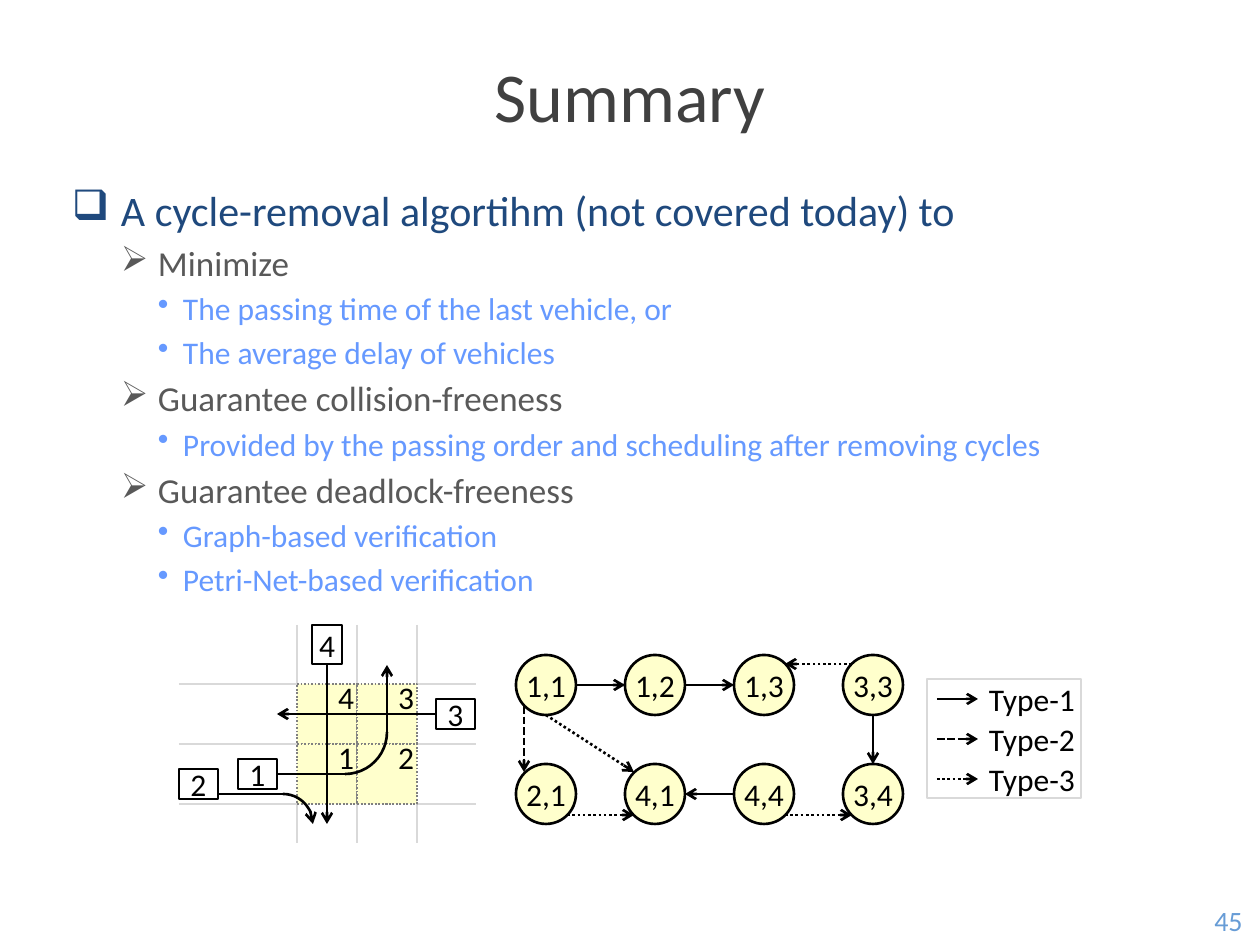
from pptx import Presentation
from pptx.dml.color import RGBColor
from pptx.enum.dml import MSO_LINE
from pptx.enum.shapes import MSO_CONNECTOR, MSO_SHAPE
from pptx.enum.text import MSO_ANCHOR, PP_ALIGN
from pptx.oxml.ns import qn
from pptx.util import Emu, Pt
from lxml import etree

SCALE = 914400 / 126
FONT = "Calibri"
RECTANGLE, OVAL, ARC = MSO_SHAPE.RECTANGLE, MSO_SHAPE.OVAL, MSO_SHAPE.ARC
STRAIGHT = MSO_CONNECTOR.STRAIGHT
LEFT, CENTER, RIGHT = PP_ALIGN.LEFT, PP_ALIGN.CENTER, PP_ALIGN.RIGHT
TOP, MIDDLE = MSO_ANCHOR.TOP, MSO_ANCHOR.MIDDLE
SOLID, DASHED, DOTTED = MSO_LINE.SOLID, MSO_LINE.SQUARE_DOT, MSO_LINE.ROUND_DOT
BOTTOM_SIDE, LEFT_SIDE, RIGHT_SIDE = 2, 1, 3

COLORS = {
    "title": "404040", "navy": "1F497D", "gray": "595959", "blue": "6699FF",
    "number": "679CD6", "black": "000000", "white": "FFFFFF",
    "yellow": "FFFFCC", "road": "D9D9D9", "cell_edge": "808080",
}
LEVELS = [
    {"bullet": "❑", "size": 24, "color": "navy", "margin": 49, "hanging": 49},
    {"bullet": "➢", "size": 20, "color": "gray", "margin": 86, "hanging": 37},
    {"bullet": "•", "size": 18, "color": "blue", "margin": 111, "hanging": 25},
]
OUTLINE = [
    (0, "A cycle-removal algortihm (not covered today) to"),
    (1, "Minimize"),
    (2, "The passing time of the last vehicle, or"),
    (2, "The average delay of vehicles"),
    (1, "Guarantee collision-freeness"),
    (2, "Provided by the passing order and scheduling after removing cycles"),
    (1, "Guarantee deadlock-freeness"),
    (2, "Graph-based verification"),
    (2, "Petri-Net-based verification"),
]
CELL = 60
COLUMNS, ROWS = [297, 357, 417], [684, 744, 804]
VEHICLES = {
    "1": (238, 759, 39, 30), "2": (179, 769, 39, 30),
    "3": (436, 699, 39, 30), "4": (312, 625, 30, 39),
}
NODE_ROWS = [(655, ["1,1", "1,2", "1,3", "3,3"]), (764, ["2,1", "4,1", "4,4", "3,4"])]
EDGES = [
    ((576, 685), (625, 685), SOLID), ((685, 685), (734, 685), SOLID),
    ((873, 715), (873, 764), SOLID), ((734, 794), (685, 794), SOLID),
    ((524, 706), (524, 772), DASHED), ((546, 715), (634, 772), DOTTED),
    ((852, 664), (785, 664), DOTTED), ((785, 815), (852, 815), DOTTED),
    ((567, 815), (634, 815), DOTTED),
]


def px(length):
    """Turn a length in px into EMU."""
    return Emu(round(length * SCALE))


def rgb(name):
    """Look up a colour by name."""
    return RGBColor.from_string(COLORS[name])


def add_text(paragraph, text, size=18, color="black", align=CENTER):
    """Write one formatted run into a paragraph."""
    paragraph.alignment = align
    run = paragraph.add_run()
    run.text = text
    run.font.name, run.font.size = FONT, Pt(size)
    run.font.color.rgb = rgb(color)


def set_frame(frame, insets=(0, 0, 0, 0), anchor=MIDDLE, wrap=False):
    """Set the insets, anchor and wrapping of a text frame."""
    frame.margin_left, frame.margin_top, frame.margin_right, frame.margin_bottom = map(px, insets)
    frame.vertical_anchor, frame.word_wrap = anchor, wrap


def style_line(shape, color="black", width=1.5, dash=SOLID, arrow=False):
    """Format an outline, with an optional arrowhead at its end."""
    shape.line.color.rgb = rgb(color)
    shape.line.width = Pt(width)
    if dash != SOLID:
        shape.line.dash_style = dash
    if arrow:
        outline = shape._element.spPr.find(qn("a:ln"))
        etree.SubElement(outline, qn("a:tailEnd"), type="arrow")


def add_box(shapes, kind, box, fill=None, **line):
    """Add a preset shape with its fill and outline."""
    shape = shapes.add_shape(kind, *map(px, box))
    shape.shadow.inherit = False
    if fill:
        shape.fill.solid()
        shape.fill.fore_color.rgb = rgb(fill)
    else:
        shape.fill.background()
    style_line(shape, **line)
    return shape


def add_labelled_box(shapes, kind, box, text, fill):
    """Add a shape with a centred label."""
    shape = add_box(shapes, kind, box, fill)
    set_frame(shape.text_frame)
    add_text(shape.text_frame.paragraphs[0], text)
    return shape


def add_label(shapes, box, text, **text_format):
    """Add a one-line text box."""
    frame = shapes.add_textbox(*map(px, box)).text_frame
    set_frame(frame)
    add_text(frame.paragraphs[0], text, **text_format)


def add_line(shapes, start, end, **line):
    """Add a straight connector between two points."""
    connector = shapes.add_connector(STRAIGHT, *map(px, (*start, *end)))
    style_line(connector, **line)
    etree.SubElement(connector._element.spPr, qn("a:effectLst"))
    return connector


def add_arc(shapes, box, start_angle, end_angle, **line):
    """Add an arc between two angles in degrees."""
    arc = add_box(shapes, ARC, box, **line)
    arc.adjustments[0], arc.adjustments[1] = start_angle * 0.6, end_angle * 0.6


def add_title(slide, text):
    """Place and fill the title placeholder."""
    title = slide.shapes.title
    title.left, title.top, title.width, title.height = map(px, (59, 35, 1142, 118))
    title.text_frame.vertical_anchor = MIDDLE
    add_text(title.text_frame.paragraphs[0], text, size=40, color="title")


def add_outline(slide):
    """Add the bulleted outline."""
    frame = slide.shapes.add_textbox(*map(px, (59, 179, 1142, 714))).text_frame
    set_frame(frame, (13, 6, 13, 6), TOP, True)
    for index, (depth, text) in enumerate(OUTLINE):
        level = LEVELS[depth]
        paragraph = frame.add_paragraph() if index else frame.paragraphs[0]
        paragraph.level = depth
        paragraph.space_before = Pt(level["size"] * 0.18)
        add_text(paragraph, text, level["size"], level["color"], LEFT)
        properties = paragraph._p.get_or_add_pPr()
        properties.set("marL", str(px(level["margin"])))
        properties.set("indent", str(px(-level["hanging"])))
        etree.SubElement(properties, qn("a:buChar"), char=level["bullet"])


def add_intersection(slide):
    """Draw the road grid, the vehicles and their routes."""
    vehicles = {name: add_labelled_box(slide.shapes, RECTANGLE, box, name, "white")
                for name, box in VEHICLES.items()}
    shapes = slide.shapes.add_group_shape().shapes
    for x, y in zip(COLUMNS, ROWS):
        for start, end in ((625, ROWS[0]), (ROWS[-1], 843)):
            add_line(shapes, (x, start), (x, end), color="road")
        for start, end in ((179, COLUMNS[0]), (COLUMNS[-1], 476)):
            add_line(shapes, (start, y), (end, y), color="road")
    for y, names in zip(ROWS, ("43", "12")):
        for x, name in zip(COLUMNS, names):
            cell = add_box(shapes, RECTANGLE, (x, y, CELL, CELL), "yellow",
                           color="cell_edge", width=1, dash=DOTTED)
            set_frame(cell.text_frame, (0, 0, 3, 35), wrap=True)
            add_text(cell.text_frame.paragraphs[0], name, align=RIGHT)
    routes = [
        ("4", BOTTOM_SIDE, (327, 665), (327, 824), True),
        ("3", LEFT_SIDE, (436, 714), (277, 714), True),
        ("1", RIGHT_SIDE, (277, 774), (347, 774), False),
    ]
    for name, side, start, end, arrow in routes:
        add_line(shapes, start, end, arrow=arrow).begin_connect(vehicles[name], side)
    add_line(shapes, (218, 794), (283, 794))
    add_arc(shapes, (253, 794, 60, 60), 270, 0, arrow=True)
    add_arc(shapes, (303, 690, 84, 84), 0, 90)
    add_line(shapes, (387, 733), (387, 665), arrow=True)


def add_graph(slide):
    """Draw the conflict graph and its legend."""
    shapes = slide.shapes.add_group_shape().shapes
    for y, names in NODE_ROWS:
        for column, name in enumerate(names):
            add_labelled_box(shapes, OVAL, (516 + 109 * column, y, 60, 60), name, "yellow")
    add_box(shapes, RECTANGLE, (927, 679, 154, 119), color="road")
    for start, end, dash in EDGES:
        add_line(shapes, start, end, dash=dash, arrow=True)
    for index, dash in enumerate((SOLID, DASHED, DOTTED)):
        y = 699 + 40 * index
        add_line(shapes, (937, y), (978, y), dash=dash, arrow=True)
        add_label(shapes, (987, y - 15, 90, 30), f"Type-{index + 1}")


def main():
    """Build and save the summary slide."""
    presentation = Presentation()
    presentation.slide_width, presentation.slide_height = px(1260), px(945)
    slide = presentation.slides.add_slide(presentation.slide_layouts[5])
    add_title(slide, "Summary")
    add_outline(slide)
    add_label(slide.shapes, (1197, 895, 63, 50), "45", size=16, color="number")
    add_intersection(slide)
    add_graph(slide)
    presentation.save("out.pptx")


if __name__ == "__main__":
    main()
